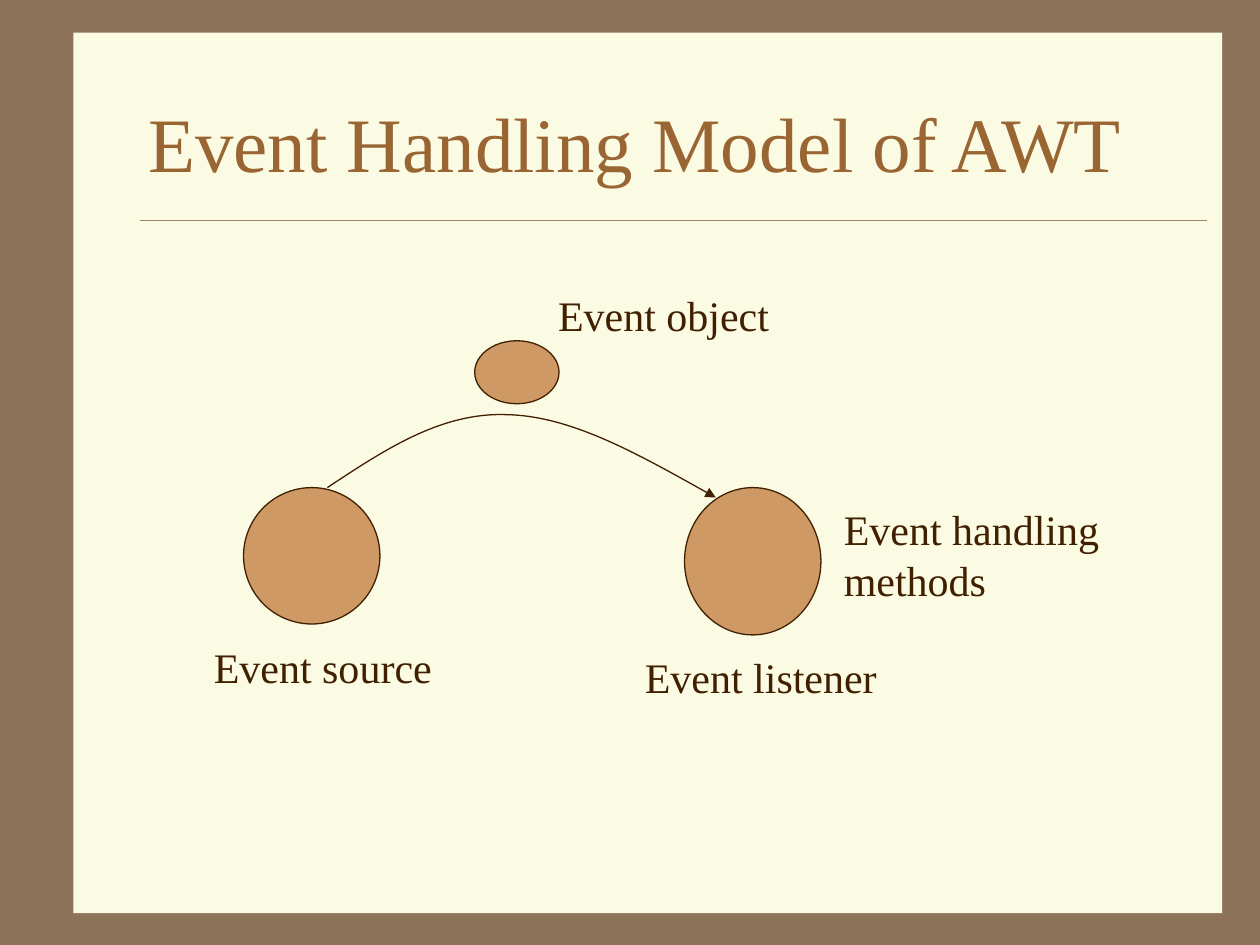
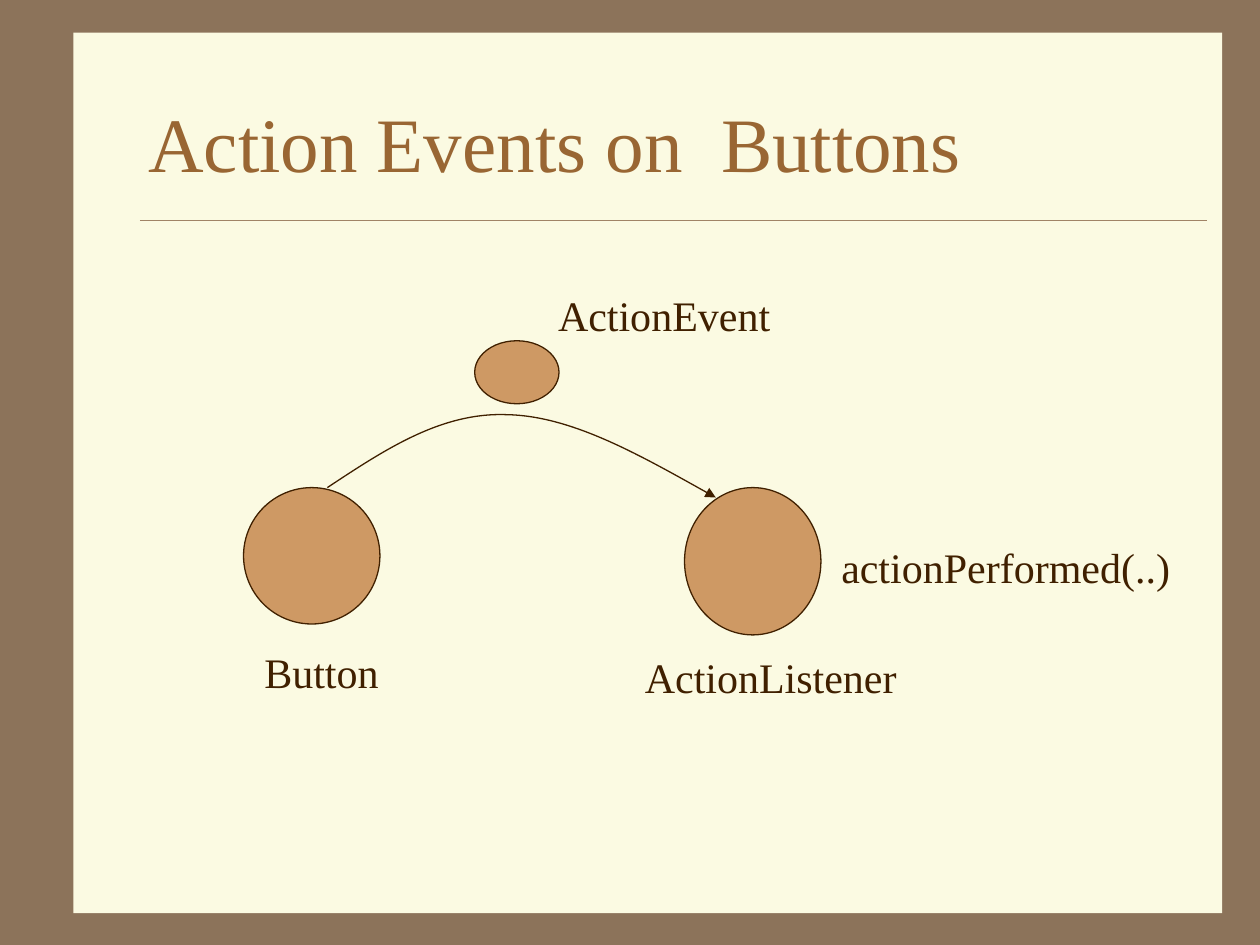
"""Builds two slides on the event handling model of AWT."""
from lxml.etree import SubElement
from pptx import Presentation
from pptx.dml.color import RGBColor
from pptx.enum.shapes import MSO_CONNECTOR as Link, MSO_SHAPE as Form
from pptx.enum.text import MSO_ANCHOR as Anchor, MSO_AUTO_SIZE as Fit
from pptx.oxml.ns import qn
from pptx.util import Cm, Pt

FONT = "Times New Roman"
HUES = {
    "frame": "8C735A",
    "panel": "FBFAE2",
    "rule": "A08366",
    "title": "996633",
    "node": "CE9964",
    "ink": "402000",
}
NODES = [
    (4.91, 9.83, 2.75, 2.75),
    (13.8, 9.83, 2.75, 2.97),
    (9.57, 6.87, 1.7, 1.27),
]
CURVE = [
    (6.6, 9.83),
    (7.75, 9.07), (8.89, 8.31), (10.21, 8.36),
    (11.51, 8.38), (12.98, 9.22), (14.43, 10.03),
]
SLIDES = [
    ("Event Handling Model of AWT", [
        ("Event source", 4.06, 12.8, 4.95, 1.27),
        ("Event listener", 12.75, 13, 5.25, 1.27),
        ("Event object", 11, 5.72, 4.85, 1.27),
        ("Event handling\nmethods", 16.76, 10.03, 5.9, 2.29),
    ]),
    ("Action Events on  Buttons", [
        ("Button", 5.08, 12.9, 2.85, 1.27),
        ("ActionListener", 12.75, 13, 5.65, 1.27),
        ("ActionEvent", 11, 5.72, 4.85, 1.27),
        ("actionPerformed(..)", 16.71, 10.8, 7.2, 1.27),
    ]),
]


def hue(name):
    return RGBColor.from_string(HUES[name])


def stroke(item, name, width):
    item.line.color.rgb = hue(name)
    item.line.width = Pt(width)


def add_form(slide, form, box, fill, edge=None):
    shape = slide.shapes.add_shape(form, *map(Cm, box))
    shape.shadow.inherit = False
    shape.fill.solid()
    shape.fill.fore_color.rgb = hue(fill)
    if edge:
        stroke(shape, edge, 0.74)
    else:
        shape.line.fill.background()


def add_text(slide, text, box, size, color):
    frame = slide.shapes.add_textbox(*map(Cm, box)).text_frame
    frame.text = text
    for para in frame.paragraphs:
        para.font.name = FONT
        para.font.size = Pt(size)
        para.font.color.rgb = hue(color)
    return frame


def add_title(slide, text):
    frame = add_text(slide, text, (2.74, 1.27, 21.59, 3.18), 44, "title")
    frame.word_wrap = True
    frame.vertical_anchor = Anchor.MIDDLE


def add_label(slide, text, *box):
    frame = add_text(slide, text, box, 24, "ink")
    frame.word_wrap = False
    frame.auto_size = Fit.SHAPE_TO_FIT_TEXT


def add_rule(slide):
    ends = map(Cm, (2.82, 4.44, 24.34, 4.44))
    rule = slide.shapes.add_connector(Link.STRAIGHT, *ends)
    stroke(rule, "rule", 0.26)
    SubElement(rule.element.spPr, qn("a:effectLst"))


def add_curve(slide, points):
    start, *rest = [(Cm(x), Cm(y)) for x, y in points]
    pen = slide.shapes.build_freeform(*start)
    pen.add_line_segments(rest, close=False)
    curve = pen.convert_to_shape()
    curve.shadow.inherit = False
    curve.fill.background()
    stroke(curve, "ink", 0.74)
    route = next(curve.element.iter(qn("a:path")))
    legs = route.findall(qn("a:lnTo"))
    for i in range(0, len(legs), 3):
        bend = SubElement(route, qn("a:cubicBezTo"))
        for leg in legs[i:i + 3]:
            bend.append(leg[0])
            route.remove(leg)
    edge = curve.element.spPr.find(qn("a:ln"))
    SubElement(edge, qn("a:tailEnd"), type="triangle")


def add_slide(deck, title, labels):
    slide = deck.slides.add_slide(deck.slide_layouts[6])
    add_form(slide, Form.RECTANGLE, (1.48, 0.66, 23.16, 17.75), "panel")
    add_rule(slide)
    add_title(slide, title)
    for box in NODES:
        add_form(slide, Form.OVAL, box, "node", "ink")
    add_curve(slide, CURVE)
    for label in labels:
        add_label(slide, *label)


def main():
    deck = Presentation()
    deck.slide_width, deck.slide_height = Cm(25.4), Cm(19.05)
    back = deck.slide_master.background.fill
    back.solid()
    back.fore_color.rgb = hue("frame")
    for title, labels in SLIDES:
        add_slide(deck, title, labels)
    deck.save("out.pptx")


main()
